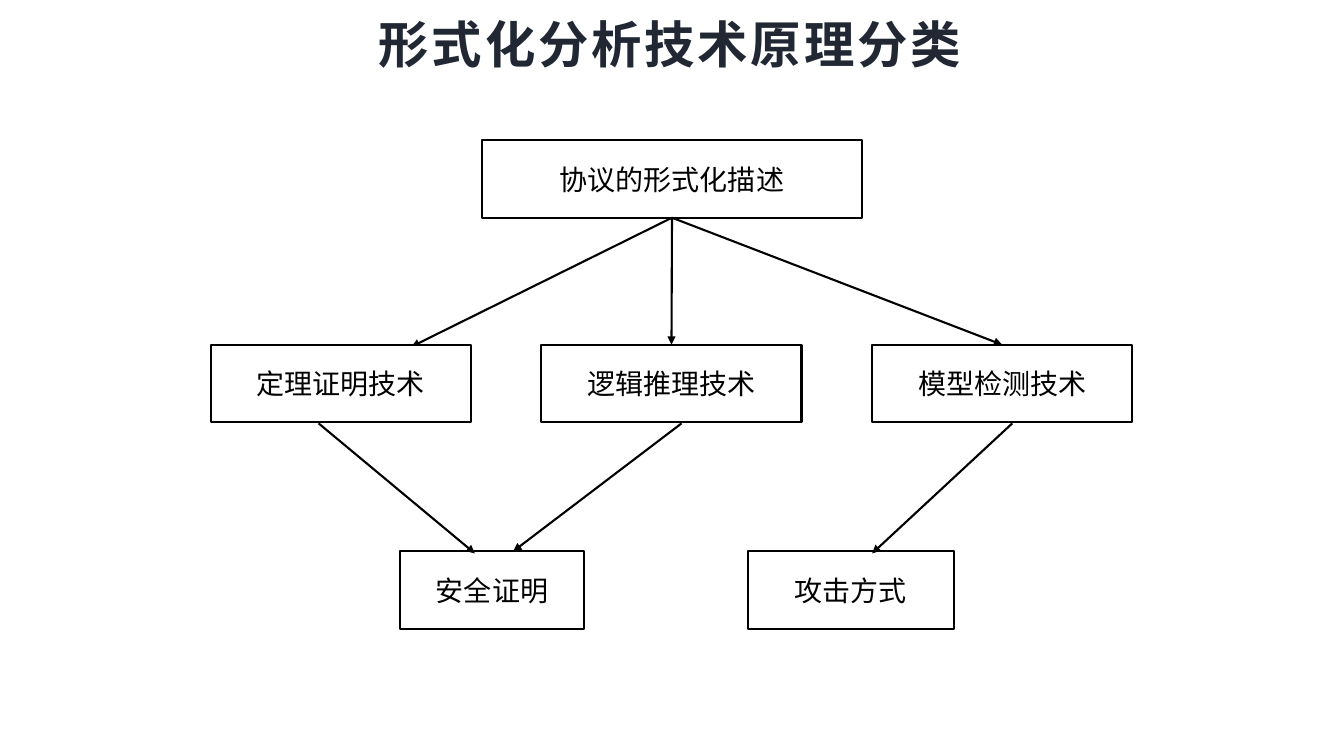
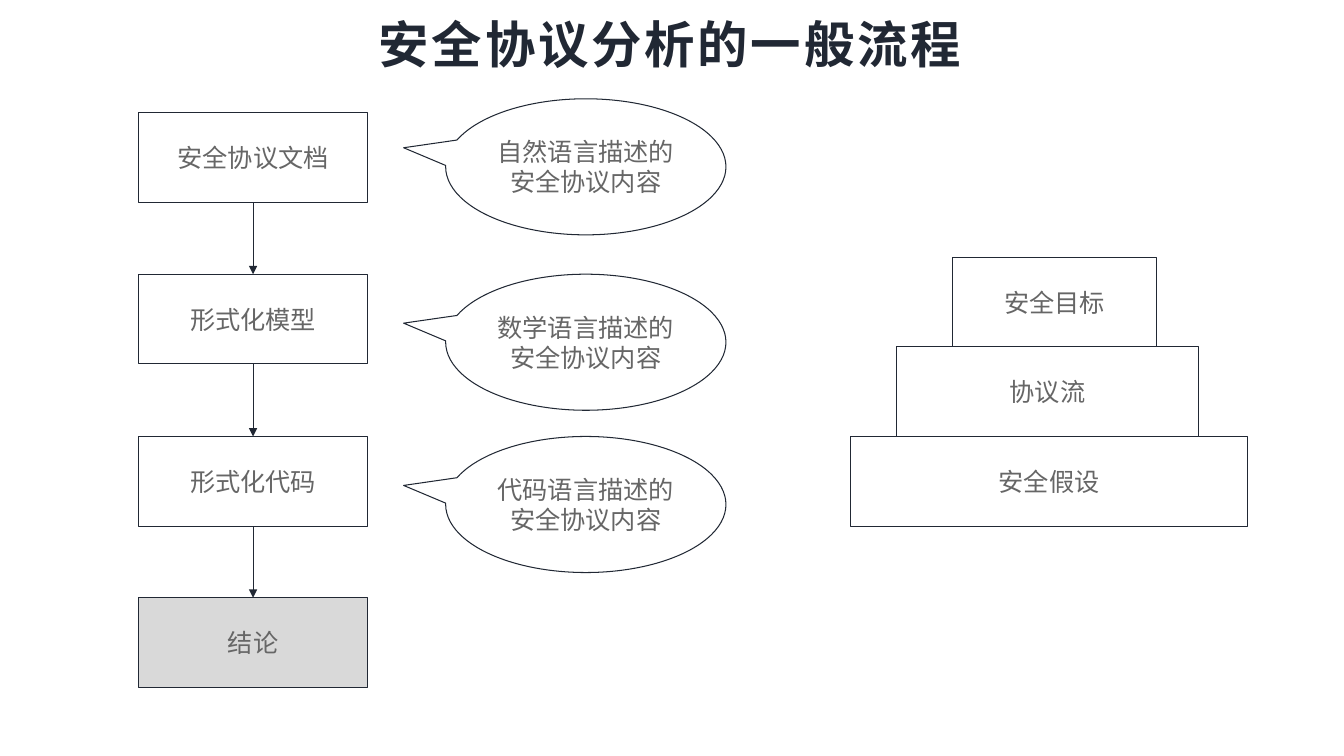
from dataclasses import dataclass
from typing import NamedTuple, Union

from lxml.etree import SubElement
from pptx import Presentation
from pptx.dml.color import RGBColor as RGB
from pptx.enum.shapes import MSO_CONNECTOR as CONN, MSO_SHAPE as SHAPE
from pptx.enum.text import MSO_ANCHOR as ANCHOR, PP_ALIGN as ALIGN
from pptx.oxml.ns import qn
from pptx.shapes.autoshape import Shape
from pptx.slide import Slide
from pptx.util import Emu, Pt

EMU_PER_PX = 9144  # 100 px to the inch
BOTTOM, TOP = 2, 0  # connection sites


@dataclass(frozen=True)
class Theme:
    ink: str = "212834"
    black: str = "000000"
    grey: str = "666666"
    white: str = "FFFFFF"
    shade: str = "D9D9D9"
    title_font: str = "Cabin"
    body_font: str = "Noto Sans CJK SC"
    title_size: int = 36
    tree_size: int = 20
    flow_size: int = 18
    title_spacing: int = 200  # hundredths of a point


THEME = Theme()


@dataclass(frozen=True)
class Style:
    text: str
    size: int
    line: str
    line_width: float
    arrow_width: float


TREE = Style(THEME.black, THEME.tree_size, THEME.black, 1.5, 1.5)
FLOW = Style(THEME.grey, THEME.flow_size, THEME.ink, 0.75, 0.5)


class Box(NamedTuple):
    text: str
    left: int
    top: int
    width: int
    height: int
    fill: str = THEME.white
    kind: SHAPE = SHAPE.RECTANGLE


class Point(NamedTuple):
    x: int
    y: int


class Port(NamedTuple):
    shape: Shape
    site: int


End = Union[Point, Port]


def px(n: int) -> Emu:
    return Emu(n * EMU_PER_PX)


def write(shape: Shape, text: str, font: str, size: int, color: str,
          bold: bool = False, spacing: int = 0) -> None:
    """Put one centred paragraph in the middle of a shape."""
    tf = shape.text_frame
    tf.word_wrap = True
    tf.vertical_anchor = ANCHOR.MIDDLE
    tf.margin_left = tf.margin_right = px(10)
    tf.margin_top = tf.margin_bottom = px(5)
    p = tf.paragraphs[0]
    p.text = text
    p.alignment = ALIGN.CENTER
    p.font.name, p.font.size, p.font.bold = font, Pt(size), bold
    p.font.color.rgb = RGB.from_string(color)
    # East Asian typeface and letter spacing
    props = p._p.pPr.find(qn("a:defRPr"))
    SubElement(props, qn("a:ea"), typeface=THEME.body_font)
    if spacing:
        props.set("spc", str(spacing))


def add_title(s: Slide, text: str) -> None:
    sp = s.shapes.add_textbox(px(27), px(10), px(1275), px(65))
    write(sp, text, THEME.title_font, THEME.title_size, THEME.ink,
          bold=True, spacing=THEME.title_spacing)


def add_box(s: Slide, box: Box, style: Style) -> Shape:
    sp = s.shapes.add_shape(box.kind, px(box.left), px(box.top),
                            px(box.width), px(box.height))
    sp.shadow.inherit = False
    sp.fill.solid()
    sp.fill.fore_color.rgb = RGB.from_string(box.fill)
    sp.line.color.rgb = RGB.from_string(style.line)
    sp.line.width = Pt(style.line_width)
    write(sp, box.text, THEME.body_font, style.size, style.text)
    return sp


def add_arrow(s: Slide, start: End, end: End, style: Style) -> None:
    """Draw an arrow between points, or joined to the sides of boxes."""
    a, b = (e if isinstance(e, Point) else Point(0, 0) for e in (start, end))
    line = s.shapes.add_connector(CONN.STRAIGHT, px(a.x), px(a.y), px(b.x), px(b.y))
    if isinstance(start, Port):
        line.begin_connect(start.shape, start.site)
    if isinstance(end, Port):
        line.end_connect(end.shape, end.site)
    line.line.color.rgb = RGB.from_string(style.line)
    line.line.width = Pt(style.arrow_width)
    SubElement(line.line._get_or_add_ln(), qn("a:tailEnd"), type="triangle")
    SubElement(line._element.spPr, qn("a:effectLst"))


def build_classification(s: Slide) -> None:
    add_title(s, "形式化分析技术原理分类")
    height = 77

    # Root, with the arrow that passes behind the first technique
    root = Port(add_box(s, Box("协议的形式化描述", 478, 139, 377, height), TREE), BOTTOM)
    add_arrow(s, root, Point(408, 344), TREE)

    # Techniques, evenly spaced
    names = ("定理证明技术", "逻辑推理技术", "模型检测技术")
    _, logic, model = [
        add_box(s, Box(name, 209 + 328 * i, 342, 258, height), TREE)
        for i, name in enumerate(names)]

    # Outcomes
    for text, left, width in (("安全证明", 397, 182), ("攻击方式", 742, 204)):
        add_box(s, Box(text, left, 547, width, height), TREE)

    # Remaining arrows
    for technique in (logic, model):
        add_arrow(s, root, Port(technique, TOP), TREE)
    for start, end in ((Point(316, 420), Point(471, 549)),
                       (Point(676, 420), Point(509, 547)),
                       (Point(1004, 420), Point(865, 549))):
        add_arrow(s, start, end, TREE)


def build_process(s: Slide) -> None:
    add_title(s, "安全协议分析的一般流程")
    height = 89

    # Steps, evenly spaced, each joined to the next
    names = ("安全协议文档", "形式化模型", "形式化代码", "结论")
    tops = [112 + round(160.4 * i) for i in range(len(names))]
    fills = [THEME.white] * 3 + [THEME.shade]
    steps = [add_box(s, Box(name, 137, top, 228, height, fill), FLOW)
             for name, top, fill in zip(names, tops, fills)]
    for upper, lower in zip(steps, steps[1:]):
        add_arrow(s, Port(upper, BOTTOM), Port(lower, TOP), FLOW)

    # Callouts: the first sits higher, the others level with their steps
    for language, top in zip(("自然", "数学", "代码"), (98, *tops[1:3])):
        callout = add_box(s, Box(f"{language}语言描述的安全协议内容", 442, top, 278, 135,
                                 kind=SHAPE.OVAL_CALLOUT), FLOW)
        callout.adjustments[0] = -0.65
        callout.adjustments[1] = -0.14

    # Pyramid, from the base up
    layers = (("安全假设", 844, 393), ("协议流", 889, 300), ("安全目标", 945, 202))
    for i, (text, left, width) in enumerate(layers):
        add_box(s, Box(text, left, tops[2] - height * i, width, height), FLOW)


def main() -> None:
    prs = Presentation()
    prs.slide_width, prs.slide_height = px(1333), px(750)
    blank = prs.slide_layouts[6]
    for build in (build_classification, build_process):
        build(prs.slides.add_slide(blank))
    prs.save("out.pptx")


if __name__ == "__main__":
    main()
